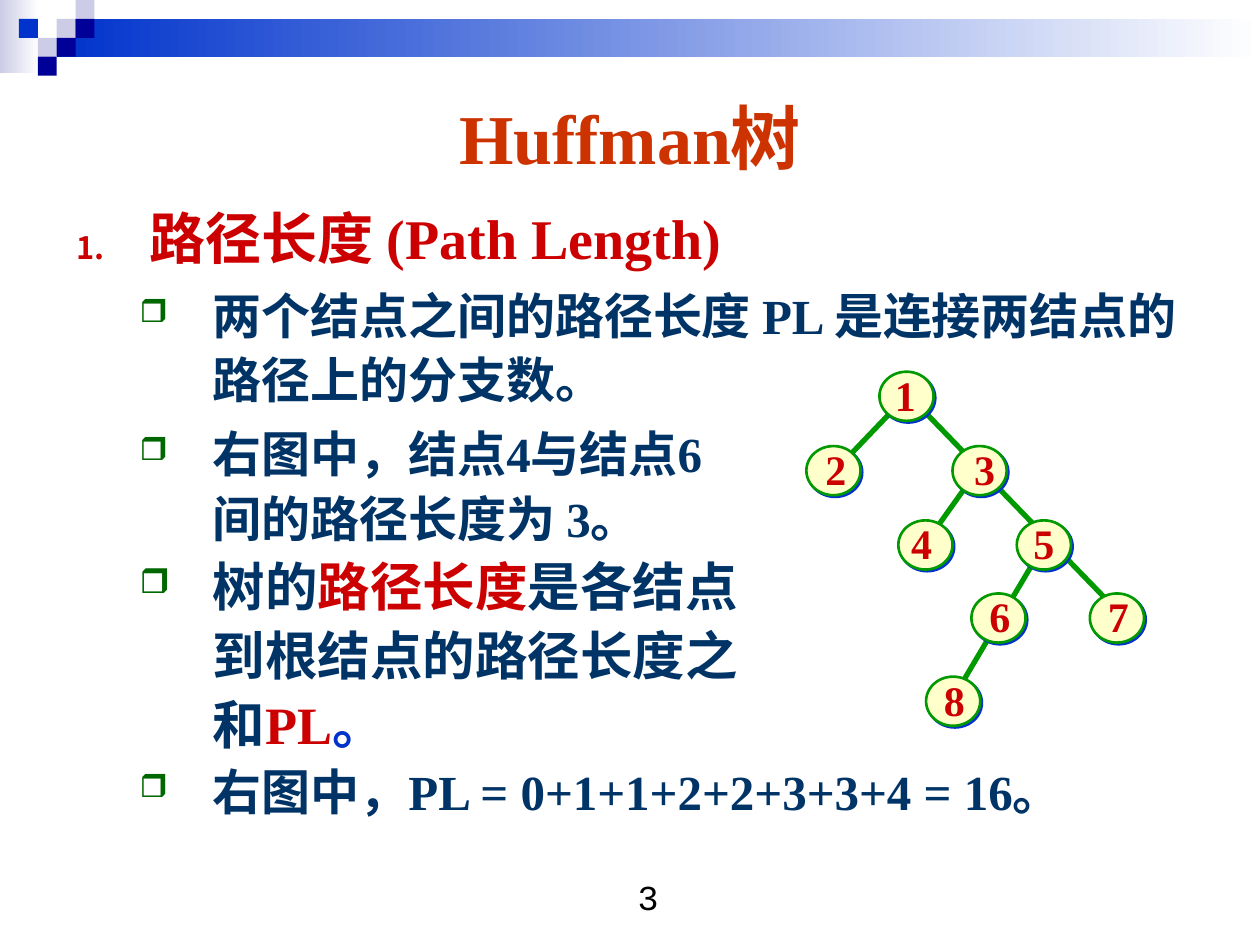
import lxml.etree
import pptx
import pptx.dml.color
import pptx.enum.shapes
import pptx.enum.text
import pptx.oxml.ns
import pptx.util

Inches = pptx.util.Inches
Pt = pptx.util.Pt
SHAPES = pptx.enum.shapes.MSO_SHAPE
CENTER = pptx.enum.text.PP_ALIGN.CENTER
MIDDLE = pptx.enum.text.MSO_ANCHOR.MIDDLE

SERIF = "Times New Roman"
RED, NAVY, BLUE, GREEN = "CC0000", "003366", "0033CC", "009900"
PALE, DARK, WHITE = "CCCCE6", "000099", "FFFFFF"

PIXEL = 0.15
# column, row, colour on the corner grid
PIXELS = [(3, 1, PALE), (4, 0, PALE), (4, 1, DARK), (2, 2, PALE),
          (1, 1, BLUE), (3, 2, DARK), (2, 3, DARK)]

# label: left of the ellipse, top of the ellipse, left of the label
NODES = {
    "1": (6.98, 2.95, 6.93),
    "2": (6.4, 3.54, 6.38),
    "3": (7.56, 3.54, 7.56),
    "4": (7.13, 4.13, 7.06),
    "5": (8.07, 4.13, 8.03),
    "6": (7.71, 4.71, 7.68),
    "7": (8.65, 4.71, 8.62),
    "8": (7.35, 5.37, 7.32),
}
BRANCHES = [
    (7.71, 3.8, 7.34, 4.32),
    (8.21, 4.45, 7.63, 5.43),
    (7.35, 3.28, 8.86, 4.84),
    (7.13, 3.21, 6.69, 3.67),
]

# has a bullet, space before, runs of (text, size, colour)
POINTS = [
    (True, 5.2, [("两个结点之间的路径长度 PL 是连接两结点的路径上的分支数。", 28, NAVY)]),
    (True, 5.2, [("右图中，结点4与结点6", 28, NAVY)]),
    (False, 0, [("间的路径长度为 3。", 28, NAVY)]),
    (True, 0, [("树的", 30, NAVY), ("路径长度", 30, RED), ("是各结点", 30, NAVY)]),
    (False, 0, [("到根结点的路径长度之", 30, NAVY)]),
    (False, 0, [("和", 30, NAVY), ("PL", 30, RED), ("。", 30, BLUE)]),
    (True, 0, [("右图中，PL = 0+1+1+2+2+3+3+4 = 16。", 28, NAVY)]),
]


def color(value):
    return pptx.dml.color.RGBColor.from_string(value)


def add_element(parent, tag, **attributes):
    return lxml.etree.SubElement(parent, pptx.oxml.ns.qn(tag), attributes)


def add_run(paragraph, text, size, text_color, font=SERIF, bold=True):
    run = paragraph.add_run()
    run.text = text
    run.font.size = Pt(size)
    run.font.name = font
    run.font.bold = bold
    run.font.color.rgb = color(text_color)


def add_text_box(slide, left, top, width, height):
    box = slide.shapes.add_textbox(Inches(left), Inches(top), Inches(width), Inches(height))
    box.text_frame.word_wrap = True
    return box.text_frame


def add_rectangle(slide, left, top, width, height, fill, fade=False):
    """Add a borderless rectangle; fade makes it turn white to the right."""
    shape = slide.shapes.add_shape(
        SHAPES.RECTANGLE, Inches(left), Inches(top), Inches(width), Inches(height))
    shape.shadow.inherit = False
    shape.line.fill.background()
    if fade:
        shape.fill.gradient()
        shape.fill.gradient_angle = 0
        for stop, stop_color in zip(shape.fill.gradient_stops, (fill, WHITE)):
            stop.color.rgb = color(stop_color)
    else:
        shape.fill.solid()
        shape.fill.fore_color.rgb = color(fill)


def add_banner(slide):
    add_rectangle(slide, 0, 0, 0.31, 0.58, PALE, fade=True)
    add_rectangle(slide, 0.45, 0.15, 9.55, 0.3, BLUE, fade=True)
    for column, row, fill in PIXELS:
        add_rectangle(slide, column * PIXEL, row * PIXEL, PIXEL, PIXEL, fill)


def add_title(slide):
    title = slide.shapes.title
    title.left, title.top = Inches(0.5), Inches(0.5)
    title.width, title.height = Inches(9), Inches(1.16)
    frame = title.text_frame
    frame.auto_size = pptx.enum.text.MSO_AUTO_SIZE.NONE
    frame.vertical_anchor = MIDDLE
    frame.paragraphs[0].alignment = CENTER
    add_run(frame.paragraphs[0], "Huffman树", 40, "CC3300")


def set_indent(paragraph, margin, hanging):
    properties = paragraph._p.get_or_add_pPr()
    properties.set("marL", str(Inches(margin)))
    properties.set("indent", str(-Inches(hanging)))
    return properties


def add_bullet(properties, bullet_color, percent, character=None):
    """Add a character bullet, or a number where no character is given."""
    add_element(add_element(properties, "a:buClr"), "a:srgbClr", val=bullet_color)
    add_element(properties, "a:buSzPct", val=str(percent * 1000))
    if character:
        add_element(properties, "a:buChar", char=character)
    else:
        add_element(properties, "a:buAutoNum", type="arabicPeriod")


def add_body(slide):
    frame = add_text_box(slide, 0.51, 1.51, 9.15, 5.59)
    heading = frame.paragraphs[0]
    heading.line_spacing = 1.1
    add_bullet(set_indent(heading, 0.58, 0.58), RED, 55)
    add_run(heading, "路径长度 (Path Length)", 32, RED)
    for bulleted, space_before, runs in POINTS:
        paragraph = frame.add_paragraph()
        paragraph.level = 1
        paragraph.line_spacing = 1.1
        paragraph.space_before = Pt(space_before)
        properties = set_indent(paragraph, 1.08, 0.58 if bulleted else 0)
        if bulleted:
            add_bullet(properties, "006600", 65, "❒")
        for text, size, text_color in runs:
            add_run(paragraph, text, size, text_color)


def add_branch(slide, start_x, start_y, end_x, end_y):
    branch = slide.shapes.add_connector(
        pptx.enum.shapes.MSO_CONNECTOR.STRAIGHT,
        Inches(start_x), Inches(start_y), Inches(end_x), Inches(end_y))
    branch.line.color.rgb = color(GREEN)
    branch.line.width = Pt(3)
    add_element(branch._element.spPr, "a:effectLst")


def add_node(slide, left, top):
    node = slide.shapes.add_shape(
        SHAPES.OVAL, Inches(left), Inches(top), Inches(0.43), Inches(0.39))
    node.fill.solid()
    node.fill.fore_color.rgb = color("FFFFCC")
    node.line.color.rgb = color(GREEN)
    node.line.width = Pt(1.5)
    effects = add_element(node._element.spPr, "a:effectLst")
    shadow = add_element(effects, "a:outerShdw", dist=str(Pt(1.4)), dir="2700000",
                         algn="ctr", rotWithShape="0")
    add_element(shadow, "a:srgbClr", val=BLUE)


def add_node_label(slide, text, left, top):
    frame = add_text_box(slide, left, top, 0.51, 0.5)
    frame.vertical_anchor = MIDDLE
    frame.paragraphs[0].alignment = CENTER
    add_run(frame.paragraphs[0], text, 24, RED)


def add_tree(slide):
    for branch in BRANCHES:
        add_branch(slide, *branch)
    for left, top, _ in NODES.values():
        add_node(slide, left, top)
    for label, (_, top, label_left) in NODES.items():
        add_node_label(slide, label, label_left, top - 0.07)


def add_page_number(slide):
    paragraph = add_text_box(slide, 3.98, 6.9, 2.33, 0.52).paragraphs[0]
    paragraph.alignment = CENTER
    add_run(paragraph, "3", 20, "000000", "Courier New", bold=False)


def main():
    presentation = pptx.Presentation()
    presentation.slide_width, presentation.slide_height = Inches(10), Inches(7.5)
    slide = presentation.slides.add_slide(presentation.slide_layouts[5])
    add_banner(slide)
    add_title(slide)
    add_body(slide)
    add_tree(slide)
    add_page_number(slide)
    presentation.save("out.pptx")


if __name__ == "__main__":
    main()
